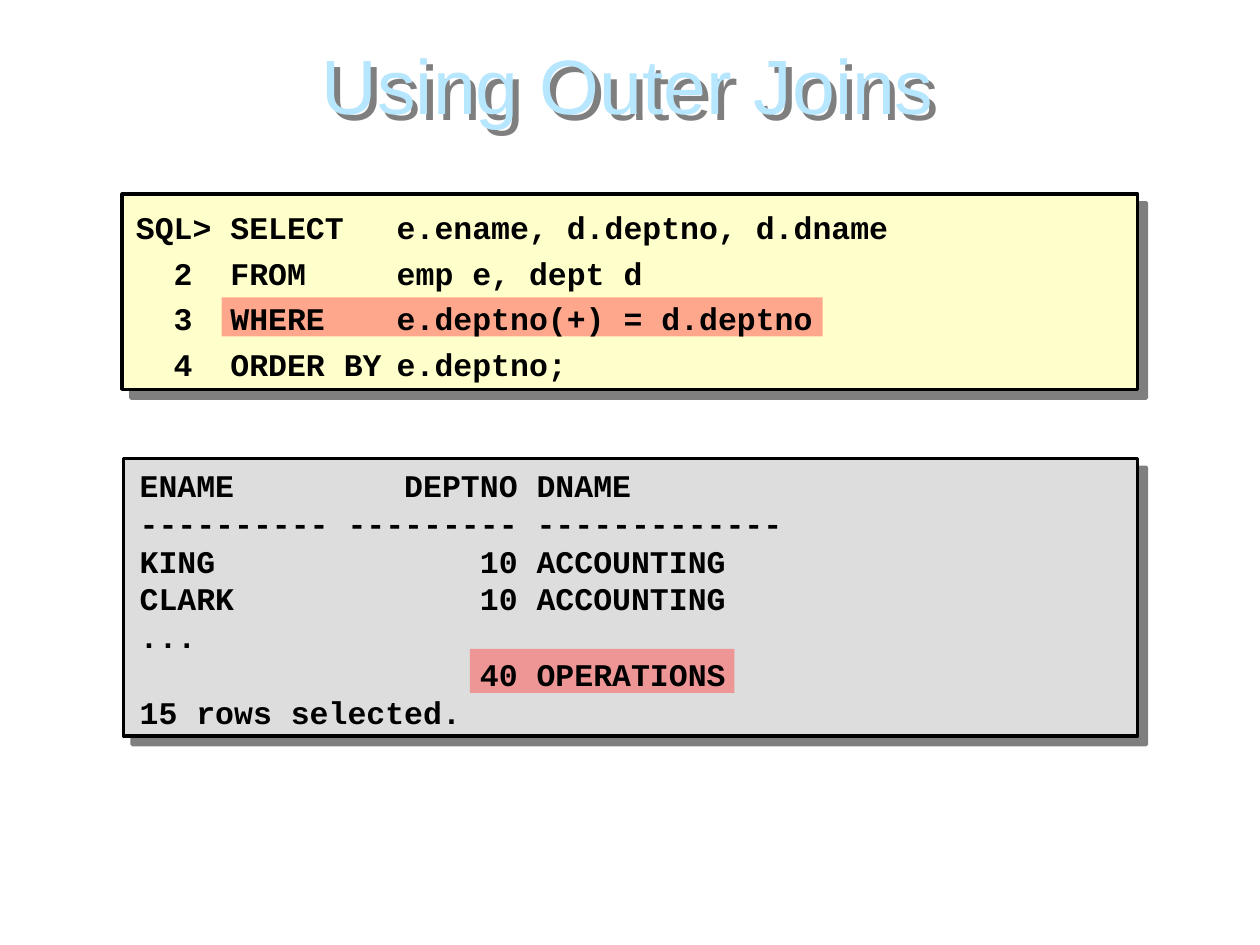
from lxml import etree
from pptx import Presentation
from pptx import util as u
from pptx.dml.color import RGBColor
from pptx.enum import shapes, text
from pptx.oxml import ns

COLORS = {"title": "B7E7FF", "ink": "000000", "query": "FFFFCC",
          "result": "DDDDDD", "highlight": "FF5050"}
TITLE = "Using Outer Joins"
QUERY = [
    ("SQL>", "SELECT", "e.ename, d.deptno, d.dname"),
    ("2", "FROM", "emp e, dept d"),
    ("3", "WHERE", "e.deptno(+) = d.deptno"),
    ("4", "ORDER BY", "e.deptno;"),
]
ROWS = [
    ("ENAME", "DEPTNO", "DNAME"),
    ("-" * 10, "-" * 9, "-" * 13),
    ("KING", "10", "ACCOUNTING"),
    ("CLARK", "10", "ACCOUNTING"),
    ("...", "", ""),
    ("", "40", "OPERATIONS"),
]
FOOTER = "15 rows selected."
PANELS = [("query", (0.97, 1.54, 8.06, 1.55)), ("result", (0.98, 3.64, 8.05, 2.2))]
HIGHLIGHTS = [(1.76, 2.36, 4.77, 0.31), (3.73, 5.15, 2.1, 0.35)]
QUERY_TABS = (0.94, 2.07)


def color(name):
    return RGBColor.from_string(COLORS[name])


def child(parent, tag, **attributes):
    return etree.SubElement(parent, ns.qn(tag), attributes)


def add_alpha(color_element, percent):
    child(color_element, "a:alpha", val=str(percent * 1000))


def add_shadow(shape, distance):
    shape.shadow.inherit = False
    effects = shape._element.spPr.find(ns.qn("a:effectLst"))
    shadow = child(effects, "a:outerShdw", dist=str(u.Pt(distance)),
                   dir="2700000", algn="ctr", rotWithShape="0")
    add_alpha(child(shadow, "a:srgbClr", val=COLORS["ink"]), 50)


def add_rectangle(page, place, fill):
    shape = page.shapes.add_shape(shapes.MSO_SHAPE.RECTANGLE, *map(u.Inches, place))
    shape.shadow.inherit = False
    shape.fill.solid()
    shape.fill.fore_color.rgb = color(fill)
    return shape


def add_panel(page, place, fill):
    panel = add_rectangle(page, place, fill)
    panel.line.color.rgb = color("ink")
    panel.line.width = u.Pt(2)
    add_shadow(panel, 7.1)


def add_highlight(page, place):
    band = add_rectangle(page, place, "highlight")
    band.line.fill.background()
    add_alpha(band._element.spPr.find(".//" + ns.qn("a:srgbClr")), 50)


def add_text(page, place, lines, font, size, ink, bold=False, spacing=1.0,
             align=text.PP_ALIGN.LEFT, anchor=text.MSO_ANCHOR.TOP, tabs=()):
    box = page.shapes.add_textbox(*map(u.Inches, place))
    frame = box.text_frame
    frame.word_wrap = True
    frame.vertical_anchor = anchor
    for index, line in enumerate(lines):
        para = frame.add_paragraph() if index else frame.paragraphs[0]
        para.alignment = align
        para.line_spacing = spacing
        if tabs:
            stops = child(para._p.get_or_add_pPr(), "a:tabLst")
            for stop in tabs:
                child(stops, "a:tab", pos=str(u.Inches(stop)), algn="l")
        span = para.add_run()
        span.text = line
        span.font.name = font
        span.font.size = u.Pt(size)
        span.font.bold = bold
        span.font.color.rgb = color(ink)
    return box


def main():
    deck = Presentation()
    deck.slide_width, deck.slide_height = u.Inches(10), u.Inches(7.5)
    page = deck.slides.add_slide(deck.slide_layouts[6])

    for fill, place in PANELS:
        add_panel(page, place, fill)
    title = add_text(page, (0.33, 0.25, 9.31, 1.45), [TITLE], "Arial", 44, "title",
                     align=text.PP_ALIGN.CENTER)
    add_shadow(title, 4.5)
    for place in HIGHLIGHTS:
        add_highlight(page, place)

    code = {"font": "Courier New", "size": 18, "ink": "ink", "bold": True}
    query = [f"{number:>3} {'' if number == 'SQL>' else ' '}{keyword}\t{clause}"
             for number, keyword, clause in QUERY]
    add_text(page, (0.98, 1.53, 8.08, 1.57), query, spacing=1.2,
             anchor=text.MSO_ANCHOR.MIDDLE, tabs=QUERY_TABS, **code)
    result = [f"{ename:<10} {deptno:>9} {dname}".rstrip() for ename, deptno, dname in ROWS]
    add_text(page, (1.01, 3.65, 8.02, 2.2), result + [FOOTER], **code)

    deck.save("out.pptx")


if __name__ == "__main__":
    main()
